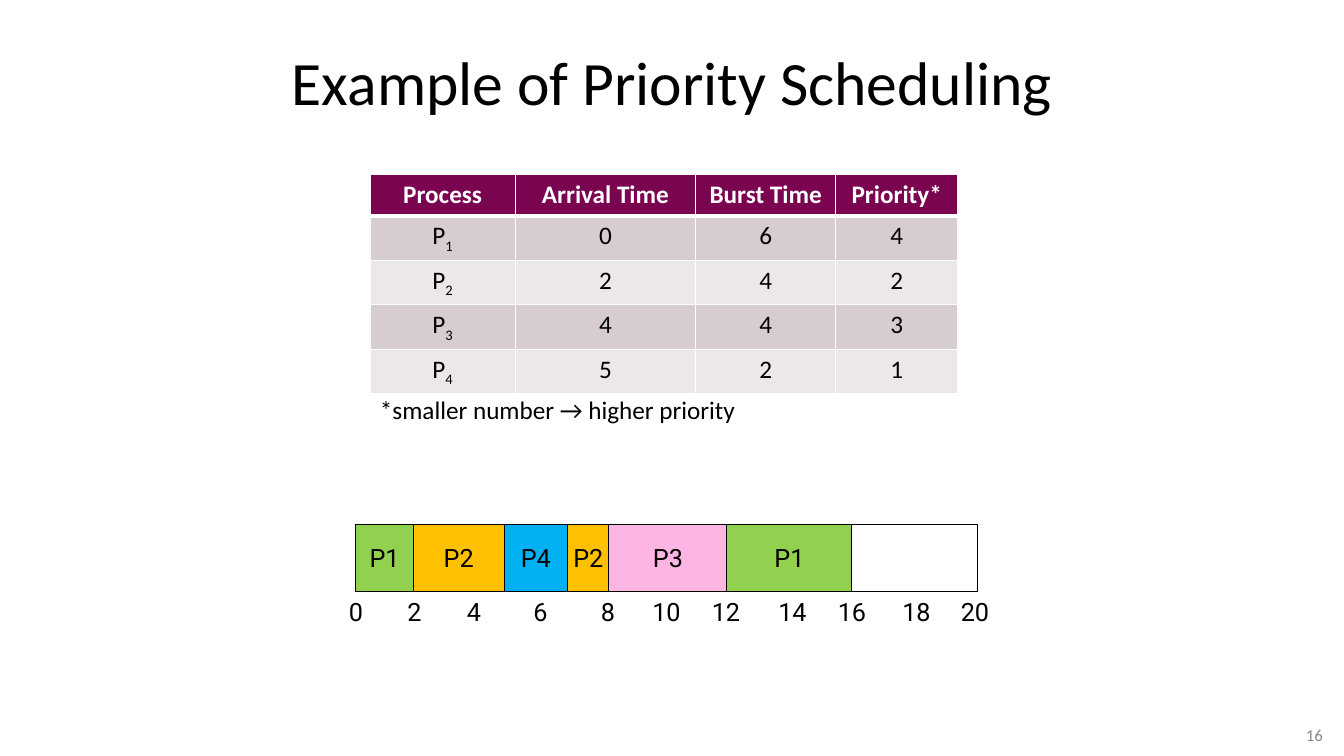
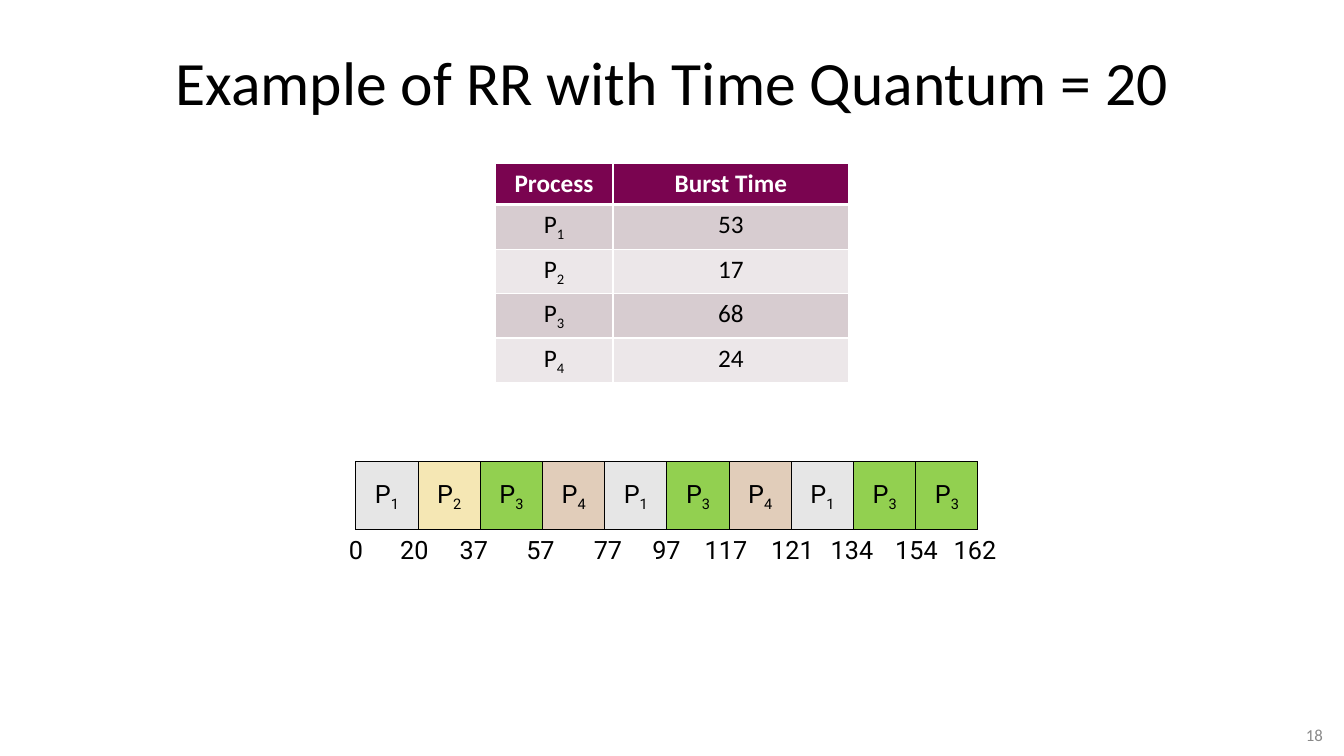
import pptx
import pptx.dml.color
import pptx.enum.shapes
import pptx.enum.text
import pptx.oxml
import pptx.oxml.ns
import pptx.util

Inches = pptx.util.Inches
Pt = pptx.util.Pt
ALIGN = pptx.enum.text.PP_ALIGN
ANCHOR = pptx.enum.text.MSO_ANCHOR

COLOURS = {
    "text": "000000", "number": "898989", "white": "FFFFFF",
    "header": "7A0450", "odd row": "D7CCD0", "even row": "ECE7E9",
    "green": "92D050", "amber": "FFC000", "blue": "00B0F0", "pink": "FDB5E3",
    "grey": "E6E6E6", "cream": "F5E7B4", "tan": "E1CDBA",
}
BODY_FONT = "Calibri"
CHART_FONT = "Roboto"
HEADER_HEIGHT = 0.41
ROW_HEIGHT = 0.44
BAR_WIDTH = 6.17
BAR_HEIGHT = 0.67
# Distance of each time label's centre from the left end of the bar
TICK_OFFSETS = [0, 0.58, 1.17, 1.83, 2.5, 3.08, 3.67, 4.33, 4.92, 5.56, 6.14]


def rgb(name):
    return pptx.dml.color.RGBColor.from_string(COLOURS[name])


def write(frame, text, size=18, font=BODY_FONT, colour="text", bold=False,
          align=ALIGN.CENTER):
    """Fill a text frame; what follows an underscore becomes a subscript."""
    para = frame.paragraphs[0]
    para.alignment = align
    for index, part in enumerate(text.split("_")):
        span = para.add_run()
        span.text = part
        span.font.size = Pt(size)
        span.font.name = font
        span.font.bold = bold
        span.font.color.rgb = rgb(colour)
        if index:
            span._r.get_or_add_rPr().set("baseline", "-25000")


def add_label(page, left, top, width, height, text, anchor=ANCHOR.MIDDLE,
              wrap=True, **style):
    box = page.shapes.add_textbox(Inches(left), Inches(top),
                                  Inches(width), Inches(height))
    box.text_frame.word_wrap = wrap
    box.text_frame.vertical_anchor = anchor
    write(box.text_frame, text, **style)


def add_page(deck, title, number):
    """Blank page with the shared title and page number."""
    page = deck.slides.add_slide(deck.slide_layouts[6])
    add_label(page, 0.67, 0.3, 12, 1.01, title, size=44)
    add_label(page, 11.79, 7.14, 1.43, 0.29, number, size=12,
              colour="number", align=ALIGN.RIGHT)
    return page


def set_borders(cell, bottom):
    properties = cell._tc.get_or_add_tcPr()
    for side, width in (("L", 1), ("R", 1), ("T", 1), ("B", bottom)):
        properties.append(pptx.oxml.parse_xml(
            f'<a:ln{side} {pptx.oxml.ns.nsdecls("a")} w="{Pt(width)}">'
            f'<a:solidFill><a:srgbClr val="{COLOURS["white"]}"/></a:solidFill>'
            f'</a:ln{side}>'))


def add_process_table(page, left, top, widths, rows):
    height = HEADER_HEIGHT + ROW_HEIGHT * (len(rows) - 1)
    table = page.shapes.add_table(
        len(rows), len(widths), Inches(left), Inches(top),
        Inches(sum(widths)), Inches(height)).table
    for column, width in zip(table.columns, widths):
        column.width = Inches(width)
    for y, values in enumerate(rows):
        is_header = y == 0
        table.rows[y].height = Inches(HEADER_HEIGHT if is_header else ROW_HEIGHT)
        fill = "header" if is_header else "odd row" if y % 2 else "even row"
        for x, value in enumerate(values):
            cell = table.cell(y, x)
            set_borders(cell, bottom=3 if is_header else 1)
            cell.fill.solid()
            cell.fill.fore_color.rgb = rgb(fill)
            write(cell.text_frame, value, bold=is_header,
                  colour="white" if is_header else "text")


def add_block(page, left, top, width, fill=None, text=None):
    block = page.shapes.add_shape(
        pptx.enum.shapes.MSO_SHAPE.RECTANGLE, Inches(left), Inches(top),
        Inches(width), Inches(BAR_HEIGHT))
    block.shadow.inherit = False
    block.line.color.rgb = rgb("text")
    block.line.width = Pt(0.75)
    if fill:
        block.fill.solid()
        block.fill.fore_color.rgb = rgb(fill)
    else:
        block.fill.background()
    if text:
        block.text_frame.word_wrap = False
        block.text_frame.vertical_anchor = ANCHOR.MIDDLE
        write(block.text_frame, text, font=CHART_FONT)


def add_gantt_bar(page, left, top, blocks, edges, times):
    """Outline, one block between each pair of edges, and times below."""
    add_block(page, left, top, BAR_WIDTH)
    for (text, fill), start, end in zip(blocks, edges, edges[1:]):
        add_block(page, left + start, top, end - start, fill, text)
    for offset, time in zip(TICK_OFFSETS, times):
        width = 0.2 + 0.14 * len(time)
        add_label(page, left + offset - width / 2, top + BAR_HEIGHT,
                  width, 0.4, time, wrap=False, font=CHART_FONT)


def build_priority_page(deck):
    page = add_page(deck, "Example of Priority Scheduling", "16")
    add_process_table(page, 3.67, 1.73, [1.44, 1.79, 1.39, 1.21], [
        ("Process", "Arrival Time", "Burst Time", "Priority*"),
        ("P_1", "0", "6", "4"),
        ("P_2", "2", "4", "2"),
        ("P_3", "4", "4", "3"),
        ("P_4", "5", "2", "1"),
    ])
    add_label(page, 3.67, 3.86, 3.8, 0.4, "*smaller number → higher priority",
              anchor=ANCHOR.TOP, align=ALIGN.LEFT)
    blocks = [("P1", "green"), ("P2", "amber"), ("P4", "blue"),
              ("P2", "amber"), ("P3", "pink"), ("P1", "green")]
    edges = [0, 0.57, 1.47, 2.1, 2.51, 3.68, 4.92]
    times = [str(time) for time in range(0, 21, 2)]
    add_gantt_bar(page, 3.53, 5.2, blocks, edges, times)


def build_round_robin_page(deck):
    page = add_page(deck, "Example of RR with Time Quantum = 20", "18")
    add_process_table(page, 4.91, 1.62, [1.17, 2.34], [
        ("Process", "Burst Time"),
        ("P_1", "53"),
        ("P_2", "17"),
        ("P_3", "68"),
        ("P_4", "24"),
    ])
    fills = {"1": "grey", "2": "cream", "3": "green", "4": "tan"}
    blocks = [("P_" + process, fills[process]) for process in "1234134133"]
    edges = [BAR_WIDTH * index / len(blocks) for index in range(len(blocks) + 1)]
    times = "0 20 37 57 77 97 117 121 134 154 162".split()
    add_gantt_bar(page, 3.53, 4.58, blocks, edges, times)


def main():
    deck = pptx.Presentation()
    deck.slide_width = Inches(13.33)
    deck.slide_height = Inches(7.5)
    build_priority_page(deck)
    build_round_robin_page(deck)
    deck.save("out.pptx")


if __name__ == "__main__":
    main()
